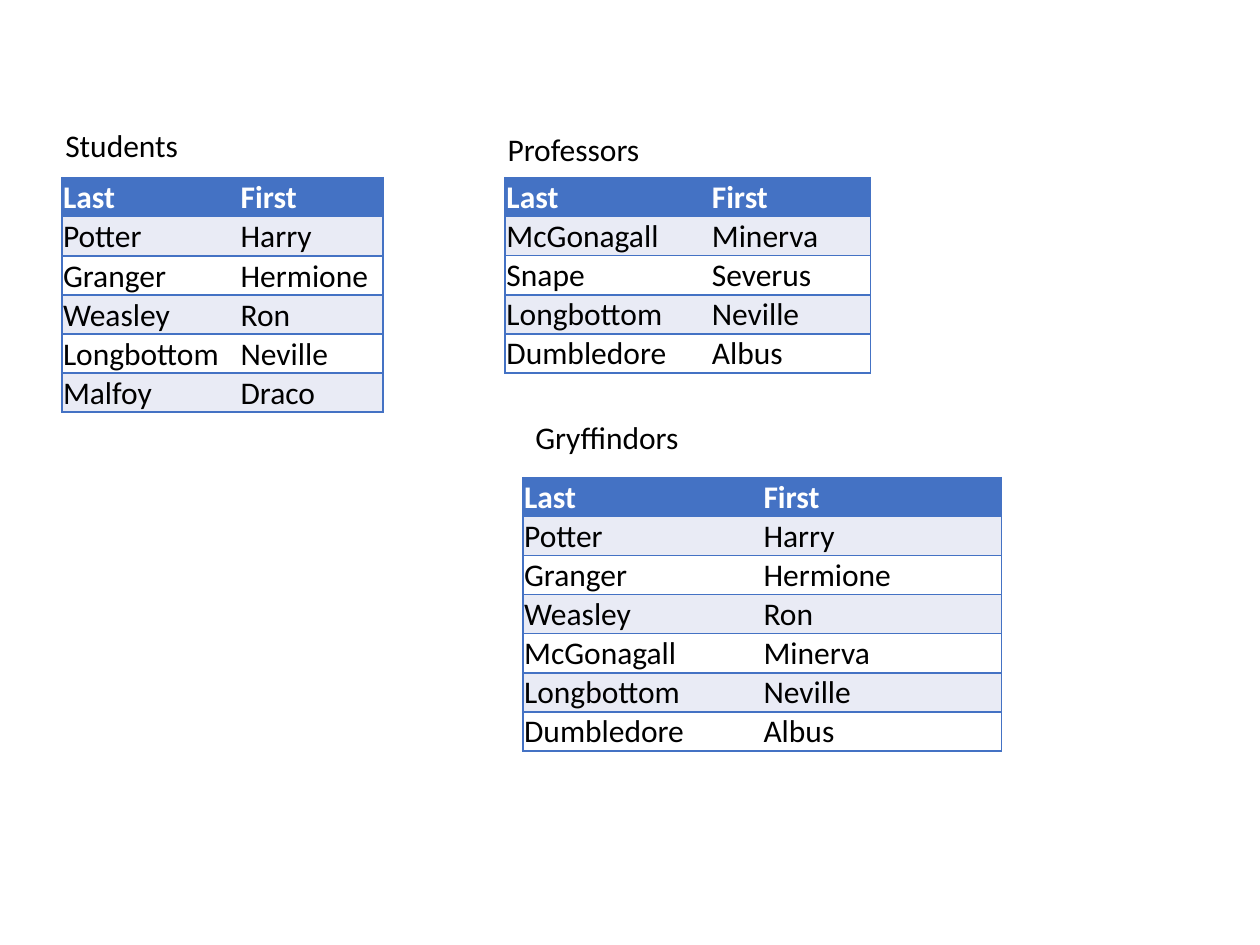
"""Build a slide with three bordered name tables and their captions."""
from lxml import etree
from pptx import Presentation
from pptx.dml.color import RGBColor
from pptx.enum.text import MSO_ANCHOR
from pptx.oxml.ns import qn
from pptx.util import Inches, Pt

BOTTOM = MSO_ANCHOR.BOTTOM
FONT, SIZE = "Calibri", 18
BLUE, PALE, WHITE, BLACK = "4472C4", "E9EBF5", "FFFFFF", "000000"
ROW_HEIGHT, CAPTION_HEIGHT, INSET = 0.31, 0.4, 0.01
HEADER = ("Last", "First")

GROUPS = [
    {
        "caption": "Students", "caption_at": (0.42, 0.95, 2.2),
        "table_at": (0.49, 1.41), "columns": (1.41, 1.14), "top_inset": 0.01,
        "people": [("Potter", "Harry"), ("Granger", "Hermione"), ("Weasley", "Ron"),
                   ("Longbottom", "Neville"), ("Malfoy", "Draco")],
    },
    {
        "caption": "Professors", "caption_at": (3.93, 0.98, 2.2),
        "table_at": (4.01, 1.41), "columns": (1.63, 1.27), "top_inset": 0,
        "people": [("McGonagall", "Minerva"), ("Snape", "Severus"),
                   ("Longbottom", "Neville"), ("Dumbledore", "Albus")],
    },
    {
        "caption": "Gryffindors", "caption_at": (4.15, 3.27, 1.73),
        "table_at": (4.15, 3.79), "columns": (1.9, 1.9), "top_inset": 0,
        "people": [("Potter", "Harry"), ("Granger", "Hermione"), ("Weasley", "Ron"),
                   ("McGonagall", "Minerva"), ("Longbottom", "Neville"),
                   ("Dumbledore", "Albus")],
    },
]


def color(value):
    return RGBColor.from_string(value)


def add_text(text_frame, text, text_color=BLACK, bold=False):
    run = text_frame.paragraphs[0].add_run()
    run.text = text
    run.font.name = FONT
    run.font.size = Pt(SIZE)
    run.font.bold = bold
    run.font.color.rgb = color(text_color)


def set_borders(cell, visible_sides):
    properties = cell._tc.get_or_add_tcPr()
    for side in "LRTB":
        line = etree.SubElement(properties, qn(f"a:ln{side}"), w=str(Pt(1)))
        if side in visible_sides:
            fill = etree.SubElement(line, qn("a:solidFill"))
            etree.SubElement(fill, qn("a:srgbClr"), val=BLUE)
        else:
            etree.SubElement(line, qn("a:noFill"))


def add_caption(slide, text, left, top, width):
    box = slide.shapes.add_textbox(
        Inches(left), Inches(top), Inches(width), Inches(CAPTION_HEIGHT))
    box.text_frame.word_wrap = True
    add_text(box.text_frame, text)


def add_name_table(slide, people, position, columns, top_inset):
    rows = [HEADER, *people]
    left, top = position
    table = slide.shapes.add_table(
        len(rows), len(columns), Inches(left), Inches(top),
        Inches(sum(columns)), Inches(ROW_HEIGHT * len(rows))).table
    for column, width in zip(table.columns, columns):
        column.width = Inches(width)
    for row_index, names in enumerate(rows):
        table.rows[row_index].height = Inches(ROW_HEIGHT)
        is_header = row_index == 0
        row_fill = BLUE if is_header else PALE if row_index % 2 else WHITE
        for column_index, name in enumerate(names):
            cell = table.cell(row_index, column_index)
            cell.vertical_anchor = BOTTOM
            cell.margin_left = cell.margin_right = Inches(INSET)
            cell.margin_top = Inches(top_inset)
            cell.margin_bottom = 0
            set_borders(cell, "TB" + "LR"[column_index])
            cell.fill.solid()
            cell.fill.fore_color.rgb = color(row_fill)
            add_text(cell.text_frame, name, WHITE if is_header else BLACK, is_header)


def main():
    presentation = Presentation()
    presentation.slide_width, presentation.slide_height = Inches(10), Inches(7.5)
    slide = presentation.slides.add_slide(presentation.slide_layouts[6])
    for group in GROUPS:
        add_caption(slide, group["caption"], *group["caption_at"])
        add_name_table(slide, group["people"], group["table_at"],
                       group["columns"], group["top_inset"])
    presentation.save("out.pptx")


if __name__ == "__main__":
    main()
